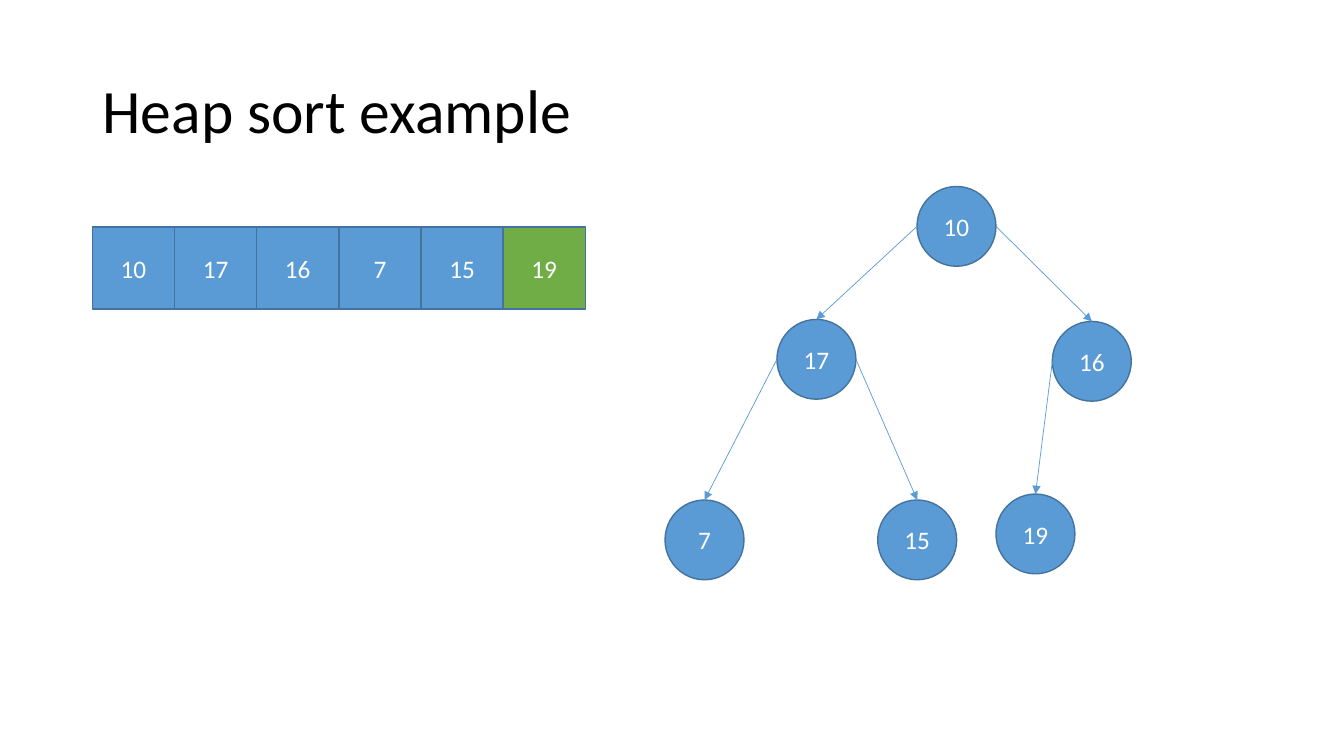
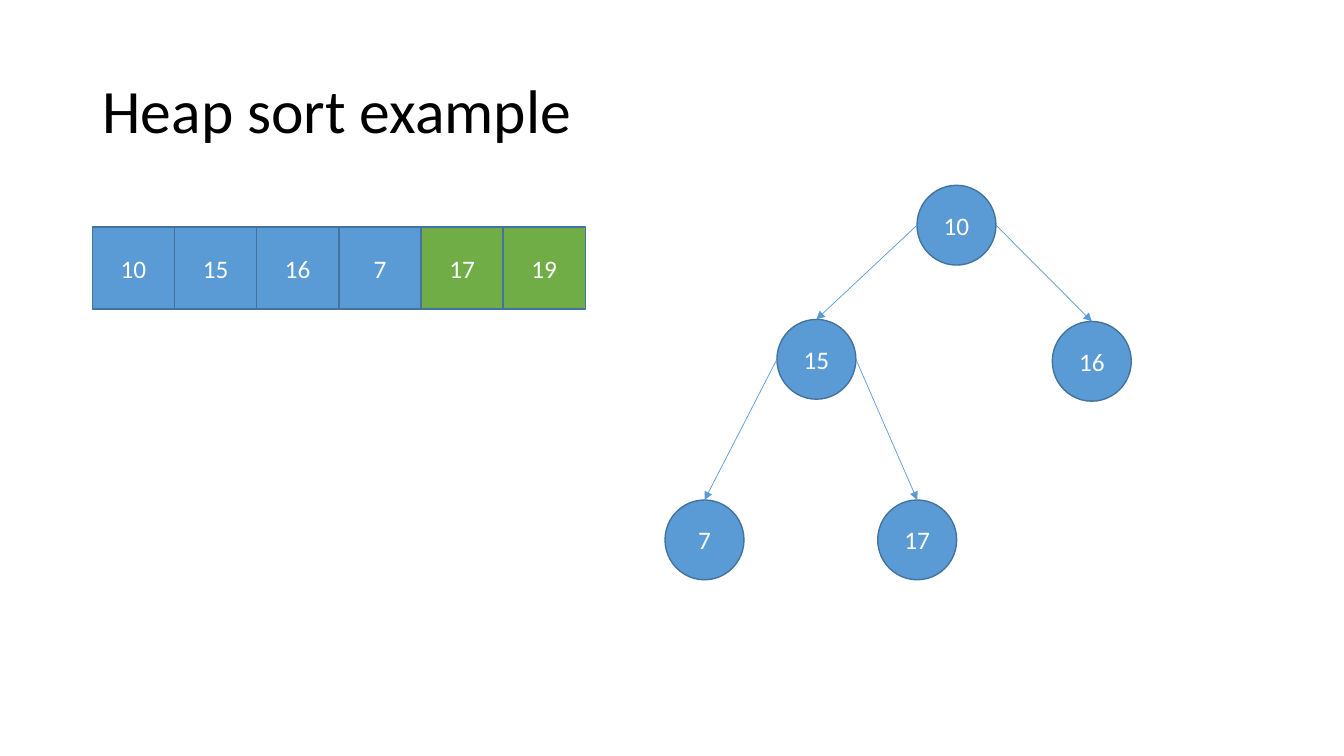
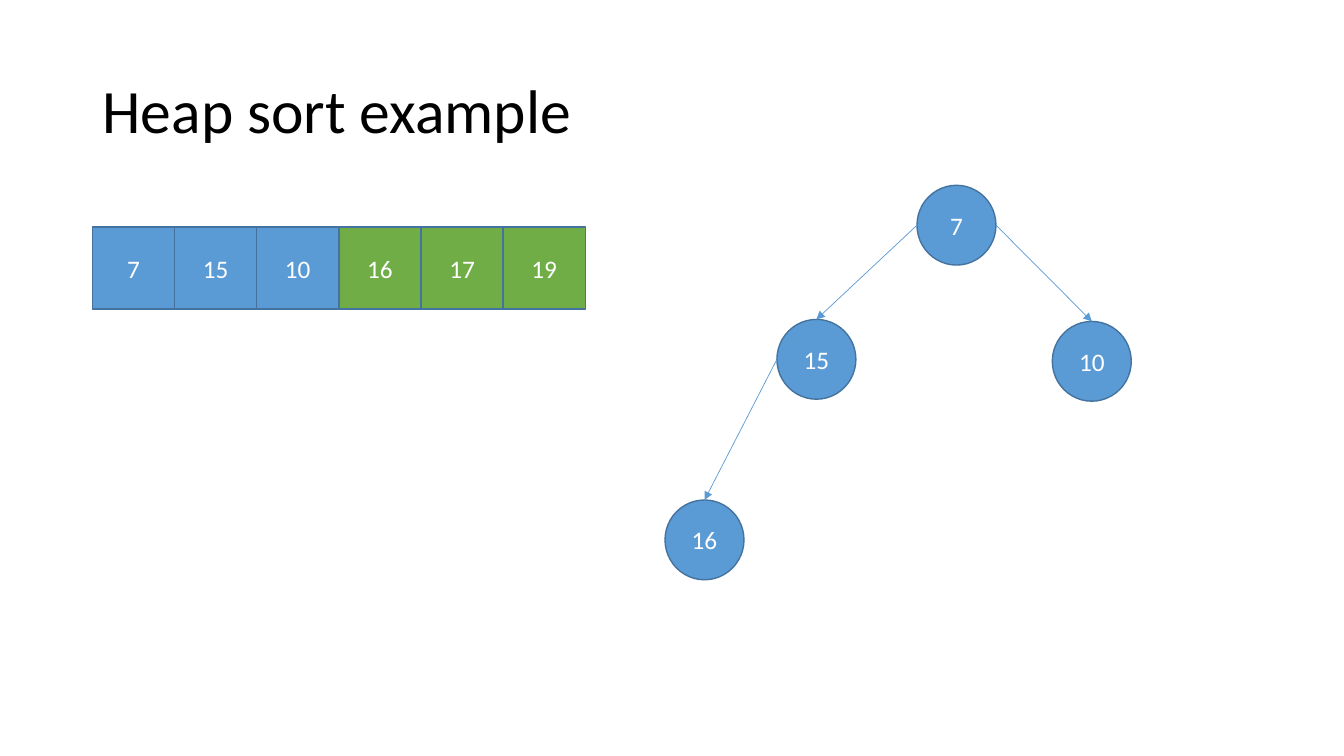
from dataclasses import dataclass
from typing import Any

from lxml import etree
from pptx import Presentation
from pptx.dml.color import RGBColor
from pptx.enum.shapes import MSO_CONNECTOR, MSO_SHAPE
from pptx.enum.text import MSO_ANCHOR, MSO_AUTO_SIZE, PP_ALIGN
from pptx.oxml.ns import qn
from pptx.util import Cm, Pt

RECTANGLE = MSO_SHAPE.RECTANGLE
ELLIPSE = MSO_SHAPE.OVAL
STRAIGHT = MSO_CONNECTOR.STRAIGHT
MIDDLE = MSO_ANCHOR.MIDDLE
LEFT = PP_ALIGN.LEFT
CENTER = PP_ALIGN.CENTER
NO_AUTOFIT = MSO_AUTO_SIZE.NONE

COLORS = {
    "heap": "5B9BD5",
    "sorted": "70AD47",
    "outline": "43739E",
    "title": "000000",
    "label": "FFFFFF",
}
TITLE = "Heap sort example"
TITLE_BOX = {"left": Cm(2.33), "top": Cm(1.01), "width": Cm(29.21), "height": Cm(3.68)}
TITLE_FONT = {"size": Pt(44), "name": "Calibri"}
LABEL_FONT = {"size": Pt(18), "name": "Calibri"}
TITLE_FRAME = {"vertical_anchor": MIDDLE, "word_wrap": True, "auto_size": NO_AUTOFIT}
LABEL_FRAME = {"vertical_anchor": MIDDLE, "word_wrap": True}
TITLE_PARAGRAPH = {"alignment": LEFT, "line_spacing": 0.9}
LABEL_PARAGRAPH = {"alignment": CENTER}

ARRAY_LEFT, ARRAY_TOP, CELL_SIZE = 2.33, 5.72, 2.07
NODE_WIDTH, NODE_HEIGHT = 1.99, 2.01
ROOT_LEFT = 23.11
LOWER_NODES = [(19.58, 8.05), (26.52, 8.1), (16.76, 12.6), (22.12, 12.6), (25.1, 12.45)]
TOP_SIDE, LEFT_SIDE, RIGHT_SIDE = 0, 1, 3
ELLIPSE_SITES_PER_SIDE = 2


@dataclass(frozen=True)
class SortStep:
    values: list[int]
    sorted_count: int
    root_top: float


@dataclass(frozen=True)
class Block:
    value: int
    kind: Any
    left: float
    top: float
    width: float
    height: float
    fill: str


STEPS = [
    SortStep([10, 17, 16, 7, 15, 19], 1, 4.7),
    SortStep([10, 15, 16, 7, 17, 19], 2, 4.67),
    SortStep([7, 15, 10, 16, 17, 19], 3, 4.67),
]


def apply_format(target: Any, values: dict[str, Any]) -> None:
    for name, value in values.items():
        setattr(target, name, value)


def color(name: str) -> RGBColor:
    return RGBColor.from_string(COLORS[name])


def write_text(
    shape: Any,
    text: str,
    frame_format: dict[str, Any],
    paragraph_format: dict[str, Any],
    font_format: dict[str, Any],
    font_color: str,
) -> None:
    frame = shape.text_frame
    apply_format(frame, frame_format)
    paragraph = frame.paragraphs[0]
    apply_format(paragraph, paragraph_format)
    run = paragraph.add_run()
    run.text = text
    apply_format(run.font, font_format)
    run.font.color.rgb = color(font_color)


def add_block(slide: Any, block: Block) -> Any:
    shape = slide.shapes.add_shape(
        block.kind, Cm(block.left), Cm(block.top), Cm(block.width), Cm(block.height)
    )
    shape.shadow.inherit = False
    shape.fill.solid()
    shape.fill.fore_color.rgb = color(block.fill)
    shape.line.color.rgb = color("outline")
    shape.line.width = Pt(1)
    write_text(shape, str(block.value), LABEL_FRAME, LABEL_PARAGRAPH, LABEL_FONT, "label")
    return shape


def add_edge(slide: Any, parent: Any, child: Any, side: int) -> None:
    connector = slide.shapes.add_connector(STRAIGHT, 0, 0, 0, 0)
    connector.begin_connect(parent, side)
    connector.end_connect(child, TOP_SIDE)
    connector.line.color.rgb = color("heap")
    connector.line.width = Pt(0.5)
    element = connector._element
    start = element.find(".//" + qn("a:stCxn"))
    start.set("idx", str(side * ELLIPSE_SITES_PER_SIDE))
    properties = element.spPr
    etree.SubElement(properties.find(qn("a:ln")), qn("a:tailEnd"), type="triangle")
    etree.SubElement(properties, qn("a:effectLst"))


def add_tree(slide: Any, step: SortStep) -> None:
    node_count = len(step.values) - step.sorted_count + 1
    places = [(ROOT_LEFT, step.root_top), *LOWER_NODES]
    nodes = [
        add_block(slide, Block(value, ELLIPSE, left, top, NODE_WIDTH, NODE_HEIGHT, "heap"))
        for value, (left, top) in zip(step.values[:node_count], places)
    ]
    for index in range(1, node_count):
        side = LEFT_SIDE if index % 2 else RIGHT_SIDE
        add_edge(slide, nodes[(index - 1) // 2], nodes[index], side)


def add_array(slide: Any, step: SortStep) -> None:
    first_sorted = len(step.values) - step.sorted_count
    for index, value in enumerate(step.values):
        left = ARRAY_LEFT + index * CELL_SIZE
        fill = "sorted" if index >= first_sorted else "heap"
        add_block(slide, Block(value, RECTANGLE, left, ARRAY_TOP, CELL_SIZE, CELL_SIZE, fill))


def add_step_slide(presentation: Any, step: SortStep) -> None:
    slide = presentation.slides.add_slide(presentation.slide_layouts[5])
    title = slide.shapes.title
    apply_format(title, TITLE_BOX)
    write_text(title, TITLE, TITLE_FRAME, TITLE_PARAGRAPH, TITLE_FONT, "title")
    add_tree(slide, step)
    add_array(slide, step)


def main() -> None:
    presentation = Presentation()
    presentation.slide_width = Cm(33.87)
    presentation.slide_height = Cm(19.05)
    for step in STEPS:
        add_step_slide(presentation, step)
    presentation.save("out.pptx")


if __name__ == "__main__":
    main()
